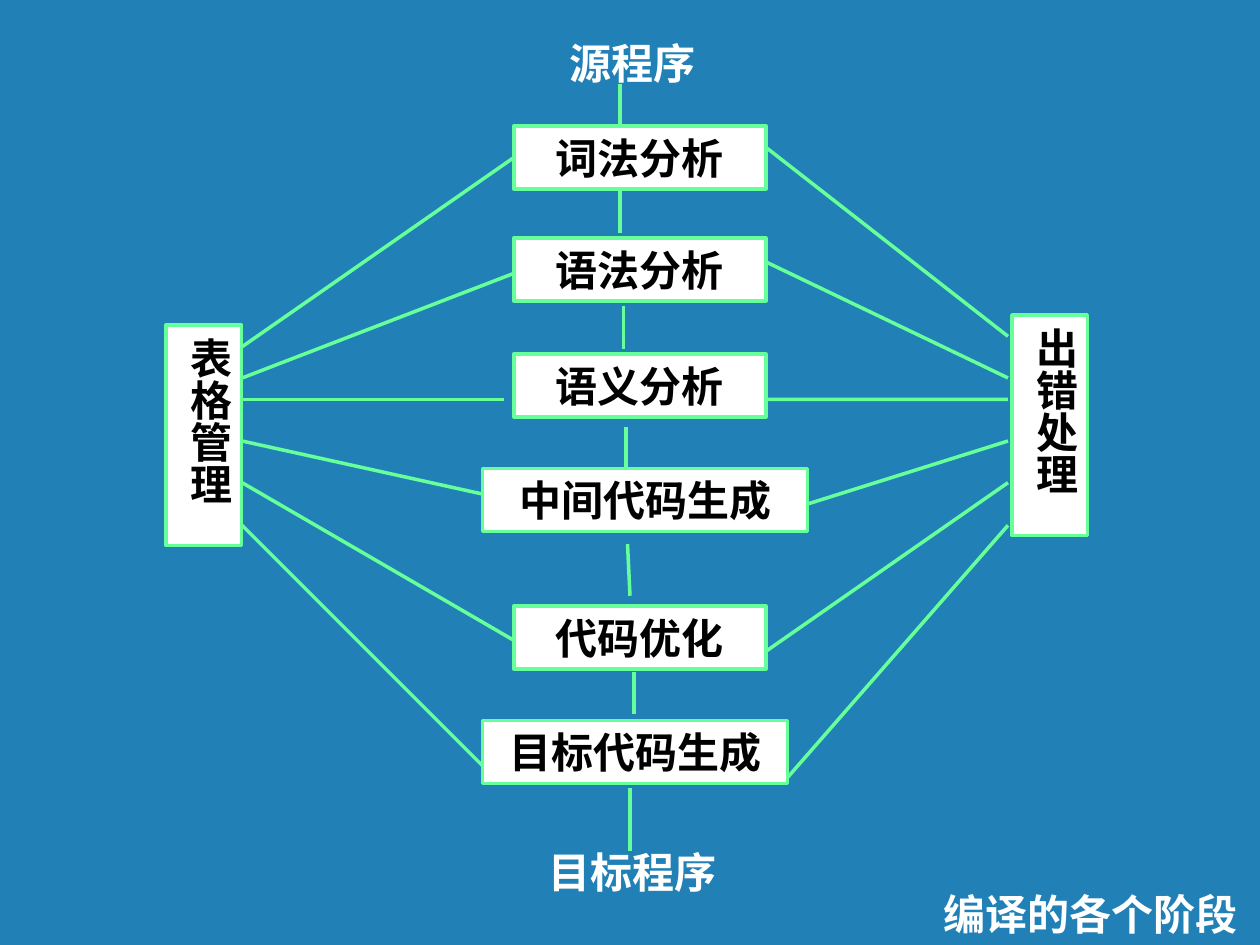
from lxml import etree
from pptx import Presentation
from pptx.dml.color import RGBColor
from pptx.enum.shapes import MSO_CONNECTOR, MSO_SHAPE
from pptx.enum.text import MSO_ANCHOR, PP_ALIGN
from pptx.oxml.ns import qn
from pptx.util import Cm, Pt

LINE = MSO_CONNECTOR.STRAIGHT
RECT = MSO_SHAPE.RECTANGLE
TOP, BOTTOM = MSO_ANCHOR.TOP, MSO_ANCHOR.BOTTOM
LEFT, CENTER, RIGHT = PP_ALIGN.LEFT, PP_ALIGN.CENTER, PP_ALIGN.RIGHT
BLUE, GREEN, WHITE, BLACK = "2181B7", "66FF99", "FFFFFF", "000000"
HIGH = 1.27

STEPS = [
    ("词法分析", 0.63, 1.9, 5.08),
    ("语法分析", 0.63, 4.16, 5.08),
    ("语义分析", 0.63, 6.5, 5.08),
    ("中间代码生成", 0, 8.81, 6.55),
    ("代码优化", 0.63, 11.58, 5.08),
    ("目标代码生成", 0, 13.89, 6.15),
]
FLOW = [
    (2.77, 1.06, 2.77, 1.9),
    (2.77, 3.22, 2.77, 4.06),
    (2.84, 5.53, 2.84, 6.4),
    (2.89, 7.97, 2.89, 8.81),
    (2.92, 10.33, 2.97, 11.37),
    (3.05, 12.9, 3.05, 13.76),
    (2.97, 15.24, 2.97, 16.51),
]
LEFT_FAN = [(0.44, 0, 0.64), (1.07, 0, 0.71), (1.5, -0.2, 0.91),
            (2.34, 0, 0.51), (3.18, 0, 0.69), (4.04, 0, 0.91)]
RIGHT_FAN = [(0.43, 0, 0.43), (1.27, 0, 0.48), (1.7, 0, 0.91),
             (2.54, 0, 0.71), (3.38, 0, 0.91), (4.24, 0, 1.14)]


def color(code):
    return RGBColor.from_string(code)


def write(shape, text, tint, align, anchor=TOP, before=15):
    frame = shape.text_frame
    frame.word_wrap = True
    frame.vertical_anchor = anchor
    para = frame.paragraphs[0]
    para.text = text
    para.alignment = align
    para.space_before = Pt(before)
    font = para.font
    font.name, font.size, font.bold = "Times New Roman", Pt(24), True
    font.color.rgb = color(tint)
    return frame


def label(slide, box, text, align=LEFT, anchor=TOP, before=15):
    shape = slide.shapes.add_textbox(*map(Cm, box))
    write(shape, text, WHITE, align, anchor, before)


def block(slide, box, text):
    shape = slide.shapes.add_shape(RECT, *map(Cm, box))
    shape.shadow.inherit = False
    shape.fill.solid()
    shape.fill.fore_color.rgb = color(WHITE)
    shape.line.color.rgb = color(GREEN)
    shape.line.width = Pt(2)
    write(shape, text, BLACK, CENTER)
    return shape


def link(slide, *ends):
    line = slide.shapes.add_connector(LINE, *ends)
    line.line.color.rgb = color(GREEN)
    line.line.width = Pt(2)
    etree.SubElement(line._element.spPr, qn("a:effectLst"))
    return line


def column(slide, left, top):
    label(slide, (left + 1.5, top, 3.18, HIGH), "源程序")
    label(slide, (left + 1.07, top + 16.3, 4.45, HIGH), "目标程序")
    steps = [block(slide, (left + x, top + y, wide, HIGH), text)
             for text, x, y, wide in STEPS]
    for x1, y1, x2, y2 in FLOW:
        link(slide, Cm(left + x1), Cm(top + y1), Cm(left + x2), Cm(top + y2))
    return steps


def side(slide, left, top, text, edge, steps, fan, port):
    frame = block(slide, (left, top, 1.52, 4.45), text).text_frame
    frame._txBody.bodyPr.set("vert", "eaVert")
    frame.margin_left = frame.margin_right = Cm(0.13)
    frame.margin_top = frame.margin_bottom = Cm(0.25)
    for step, (start, gap, drop) in zip(steps, fan):
        near = step.left if port == 1 else step.left + step.width
        line = link(slide, Cm(left + edge), Cm(top + start),
                    near + Cm(gap), step.top + Cm(drop))
        if gap == 0 and abs(drop - HIGH / 2) < 0.01:
            line.end_connect(step, port)


def main():
    deck = Presentation()
    deck.slide_width, deck.slide_height = Cm(25.4), Cm(19.05)
    slide = deck.slides.add_slide(deck.slide_layouts[6])
    slide.background.fill.solid()
    slide.background.fill.fore_color.rgb = color(BLUE)
    steps = column(slide, 9.73, 0.64)
    side(slide, 3.35, 6.55, "表格管理", 1.53, steps, LEFT_FAN, 1)
    side(slide, 20.4, 6.35, "出错处理", -0.08, steps, RIGHT_FAN, 3)
    label(slide, (0.64, 17.78, 24.56, HIGH), "编译的各个阶段", RIGHT, BOTTOM, 0)
    deck.save("out.pptx")


if __name__ == "__main__":
    main()
